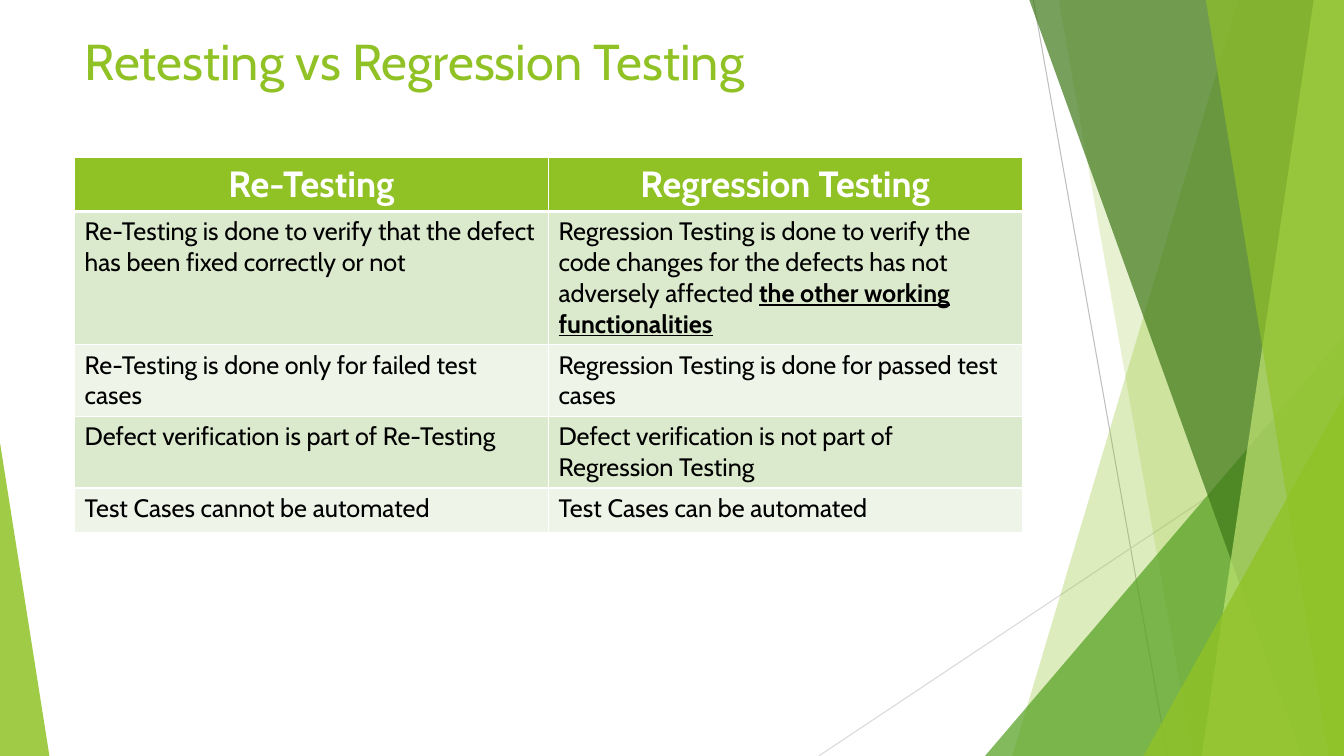
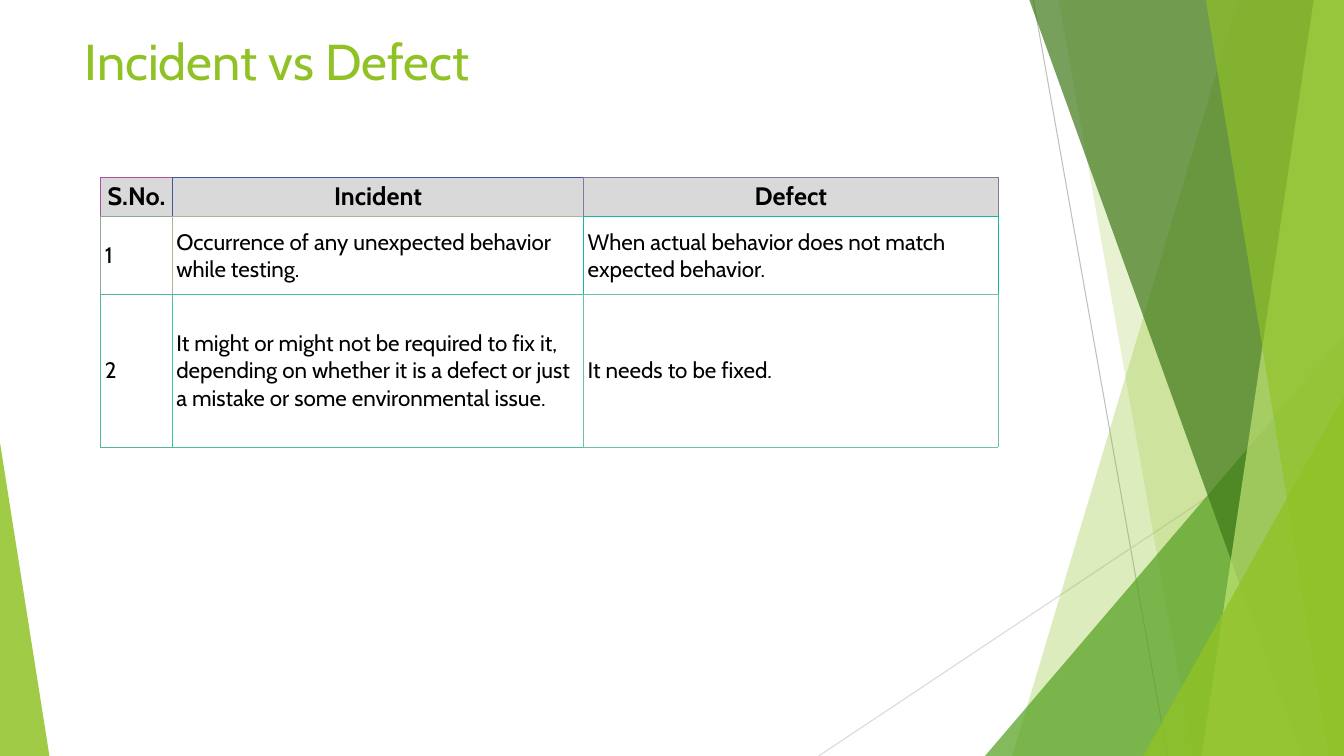
from lxml import etree
from pptx import Presentation
from pptx import util as u
from pptx.dml.color import RGBColor
from pptx.enum import shapes as kinds, text as txt
from pptx.oxml.ns import qn

FONT = "Cabin"
HUES = {
    "lime": "90C226", "leaf": "54A021", "pine": "3F7819", "mint": "C0E474",
    "mist": "BFBFBF", "haze": "D9D9D9", "ink": "000000", "white": "FFFFFF",
    "sage": "DBE9CD", "pale": "EEF4E8",
}
SIZE = (u.Inches(13.33), u.Inches(7.5))
PAGE = (0, 0, *SIZE)
TITLE = (5.55, 2.67, 70.52, 10.53)
LINES = [((76.89, 0), (86.87, 100), "mist"), ((100, 53.73), (60.92, 100), "haze")]
BANDS = [
    ("band", 92.12, 75.32, "lime", 30),
    ("band", 78.77, 88.75, "lime", 20),
    ("peak", (73.29, 44.4, 26.71, 55.6), 1, "leaf", 72),
    ("band", 76.59, 96.85, "pine", 70),
    ("band", 97.75, 89.42, "mint", 70),
    ("band", 89.72, 98.87, "lime", 65),
    ("peak", (85.07, 52.4, 14.93, 47.6), 1, "lime", 80),
    ("peak", (0, 58.53, 3.68, 41.47), 0, "lime", 85),
]

RETEST = {
    "title": "Retesting vs Regression Testing",
    "box": (5.55, 20.8, 70.52, 29.33),
    "cols": [1, 1],
    "rows": [1] * 5,
    "data": [
        ["Re-Testing", "Regression Testing"],
        ["Re-Testing is done to verify that the defect has been fixed correctly or not",
         ("Regression Testing is done to verify the code changes for the defects "
          "has not adversely affected ", "the other working functionalities")],
        ["Re-Testing is done only for failed test cases",
         "Regression Testing is done for passed test cases"],
        ["Defect verification is part of Re-Testing",
         "Defect verification is not part of Regression Testing"],
        ["Test Cases cannot be automated", "Test Cases can be automated"],
    ],
    "fills": ["lime", "sage", "pale", "sage", "pale"],
    "edges": [["FFFFFF"] * 2] * 5,
    "rule": 3,
    "head": {"size": u.Pt(26), "bold": True, "hue": "white"},
    "text": {"size": u.Pt(18), "bold": False, "hue": "ink"},
    "cell": {},
}
PAD = u.Inches(0.04)
DEFECT = {
    "title": "Incident vs Defect",
    "box": (7.5, 23.47, 66.77, 32.8),
    "cols": [0.71, 4.08, 4.11],
    "rows": [0.17, 0.78, 1.51],
    "data": [
        ["S.No.", "Incident", "Defect"],
        ["1", "Occurrence of any unexpected behavior while testing.",
         "When actual behavior does not match expected behavior."],
        ["2", "It might or might not be required to fix it, depending on whether it is "
         "a defect or just a mistake or some environmental issue.",
         "It needs to be fixed."],
    ],
    "fills": ["haze", "white", "white"],
    "edges": [["B0519A", "40559A", "807C99"],
              ["90A899", "B0B299", "10B999"],
              ["50B899", "40C599", "70C299"]],
    "rule": 1,
    "head": {"size": u.Pt(18), "bold": True, "hue": "ink"},
    "text": {"size": u.Pt(16), "bold": False, "hue": "ink"},
    "cell": {"vertical_anchor": txt.MSO_ANCHOR.MIDDLE, "margin_left": PAD,
             "margin_right": PAD, "margin_top": PAD, "margin_bottom": PAD},
}


def rgb(hue):
    """Return the named colour."""
    return RGBColor.from_string(HUES[hue])


def spot(box, x, y):
    """Turn percent shares of a box into a point."""
    left, top, wide, high = box
    return round(left + wide * x / 100), round(top + high * y / 100)


def part(box, area):
    """Turn percent shares of a box into a smaller box."""
    x, y, wide, high = area
    return *spot(box, x, y), *spot((0, 0, *box[2:]), wide, high)


def put(item, form):
    """Set each attribute of an item from a dict."""
    for name, value in form.items():
        setattr(item, name, value)


def write(para, words, form):
    """Add one run in the deck font."""
    run = para.add_run()
    run.text = words
    put(run.font, {"name": FONT, **{k: v for k, v in form.items() if k != "hue"}})
    run.font.color.rgb = rgb(form["hue"])
    return run


def tint(shape, hue, alpha):
    """Give a shape a see-through fill without line or shadow."""
    shape.shadow.inherit = False
    shape.fill.solid()
    shape.fill.fore_color.rgb = rgb(hue)
    shape.line.fill.background()
    tone = shape.element.find(".//" + qn("a:srgbClr"))
    etree.SubElement(tone, qn("a:alpha"), val=str(alpha * 1000))


def facets(slide, box):
    """Draw the lines, bands and peaks as one group in the box."""
    group = slide.shapes.add_group_shape()
    for start, end, hue in LINES:
        line = group.shapes.add_connector(
            kinds.MSO_CONNECTOR.STRAIGHT, *spot(box, *start), *spot(box, *end))
        line.line.width = u.Pt(0.75)
        line.line.color.rgb = rgb(hue)
        etree.SubElement(line.element.spPr, qn("a:effectLst"))
    for kind, first, last, hue, alpha in BANDS:
        if kind == "band":
            pen = group.shapes.build_freeform(*spot(box, first, 0), scale=1.0)
            ends = [(100, 0), (100, 100), (last, 100)]
            pen.add_line_segments([spot(box, *end) for end in ends], close=True)
            shape = pen.convert_to_shape()
        else:
            shape = group.shapes.add_shape(
                kinds.MSO_SHAPE.ISOSCELES_TRIANGLE, *part(box, first))
            shape.adjustments[0] = last
        tint(shape, hue, alpha)
    return group


def share(layout, slide, box):
    """Set the layout's title place and move the facets behind it."""
    spots = zip(("left", "top", "width", "height"), part(box, TITLE))
    put(layout.placeholders[0], dict(spots))
    group = facets(slide, box).element
    for num, node in enumerate(group.iter(qn("p:cNvPr")), 20):
        node.set("id", str(num))
    layout.shapes.element.insert(2, group)


def head(slide, words):
    """Fill the title placeholder."""
    frame = slide.shapes.title.text_frame
    put(frame, {"vertical_anchor": txt.MSO_ANCHOR.MIDDLE, "word_wrap": True})
    para = frame.paragraphs[0]
    para.alignment = txt.PP_ALIGN.LEFT
    write(para, words, {"size": u.Pt(36), "hue": "lime"})


def border(node, sides):
    """Put the four borders ahead of a cell's fill."""
    for spot_no, (side, (tone, width)) in enumerate(sides.items()):
        line = etree.Element(qn("a:ln" + side), w=str(u.Pt(width)))
        fill = etree.SubElement(line, qn("a:solidFill"))
        etree.SubElement(fill, qn("a:srgbClr"), val=tone)
        node.insert(spot_no, line)


def sides(plan, row, col):
    """Find a cell's borders: far sides take the next cell's colour."""
    edges = plan["edges"]
    own = edges[row][col]
    right = (edges[row][col + 1], 1) if col + 1 < len(edges[row]) else (own, 0.5)
    below = (edges[row + 1][col], 1) if row + 1 < len(edges) else (own, 0.5)
    top = (own, plan["rule"] if row == 1 else 1)
    if row == 0:
        below = (below[0], plan["rule"])
    return {"L": (own, 1), "R": right, "T": top, "B": below}


def grid(slide, box, plan):
    """Build a table from its plan in the box."""
    data = plan["data"]
    frame = slide.shapes.add_table(len(data), len(data[0]), *box)
    table = frame.table
    table.horz_banding = False
    for name, lines, full in (("width", table.columns, box[2]),
                              ("height", table.rows, box[3])):
        parts = plan["cols" if name == "width" else "rows"]
        for line, size in zip(lines, parts):
            setattr(line, name, round(full * size / sum(parts)))
    nodes = frame.element.iter(qn("a:tc"))
    for num, (cell, node) in enumerate(zip(table.iter_cells(), nodes)):
        row, col = divmod(num, len(data[0]))
        put(cell, plan["cell"])
        cell.fill.solid()
        cell.fill.fore_color.rgb = rgb(plan["fills"][row])
        border(node.find(qn("a:tcPr")), sides(plan, row, col))
        words = data[row][col]
        plain, *strong = (words,) if isinstance(words, str) else words
        para = cell.text_frame.paragraphs[0]
        para.alignment = txt.PP_ALIGN.LEFT if row else txt.PP_ALIGN.CENTER
        form = plan["text" if row else "head"]
        write(para, plain, form)
        for bit in strong:
            put(write(para, bit, form).font, {"bold": True, "underline": True})


def main():
    """Build and save the deck."""
    deck = Presentation()
    deck.slide_width, deck.slide_height = SIZE
    layout = deck.slide_layouts[5]
    for num, plan in enumerate((RETEST, DEFECT)):
        slide = deck.slides.add_slide(layout)
        if num == 0:
            share(layout, slide, PAGE)
        head(slide, plan["title"])
        grid(slide, part(PAGE, plan["box"]), plan)
    deck.save("out.pptx")


if __name__ == "__main__":
    main()
